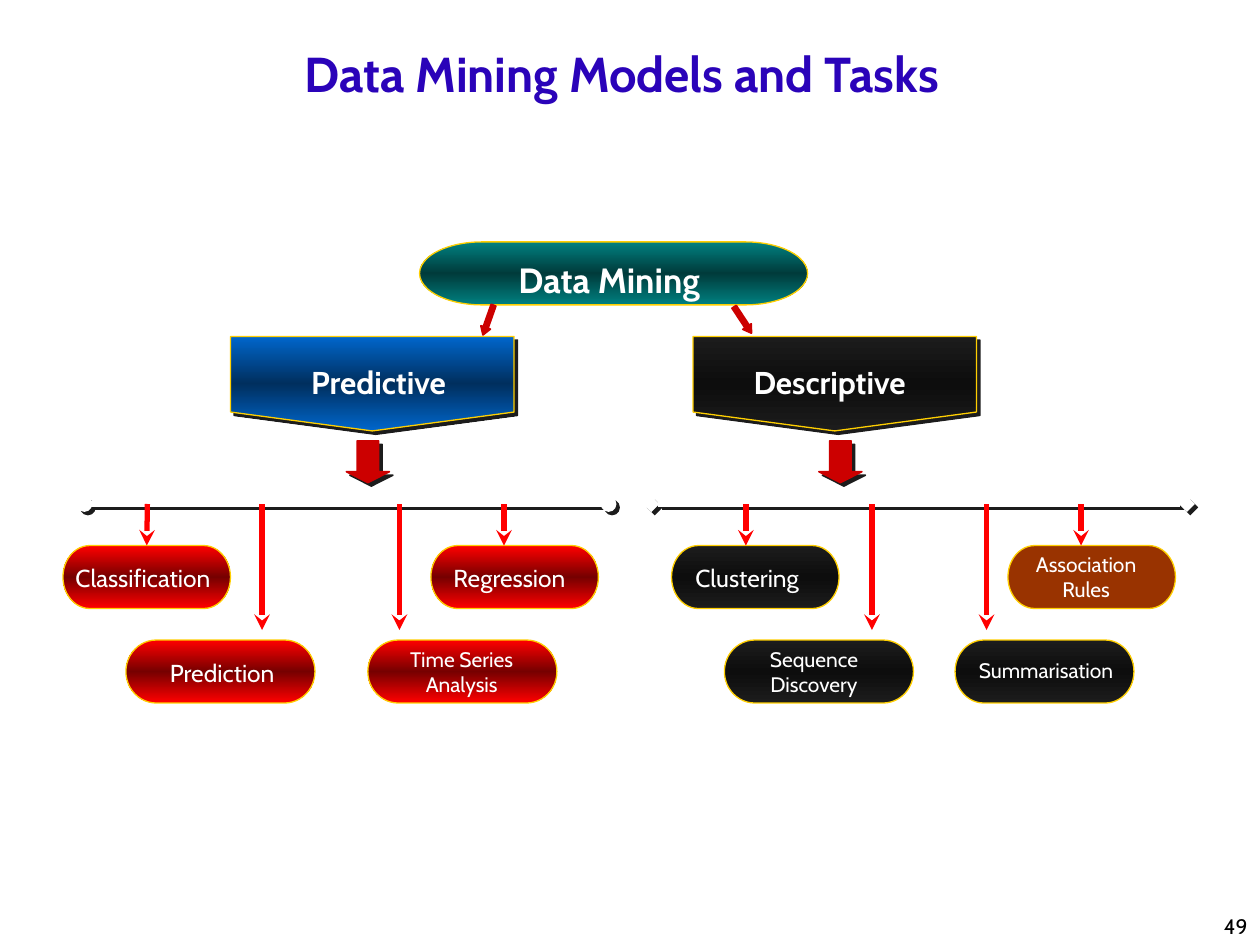
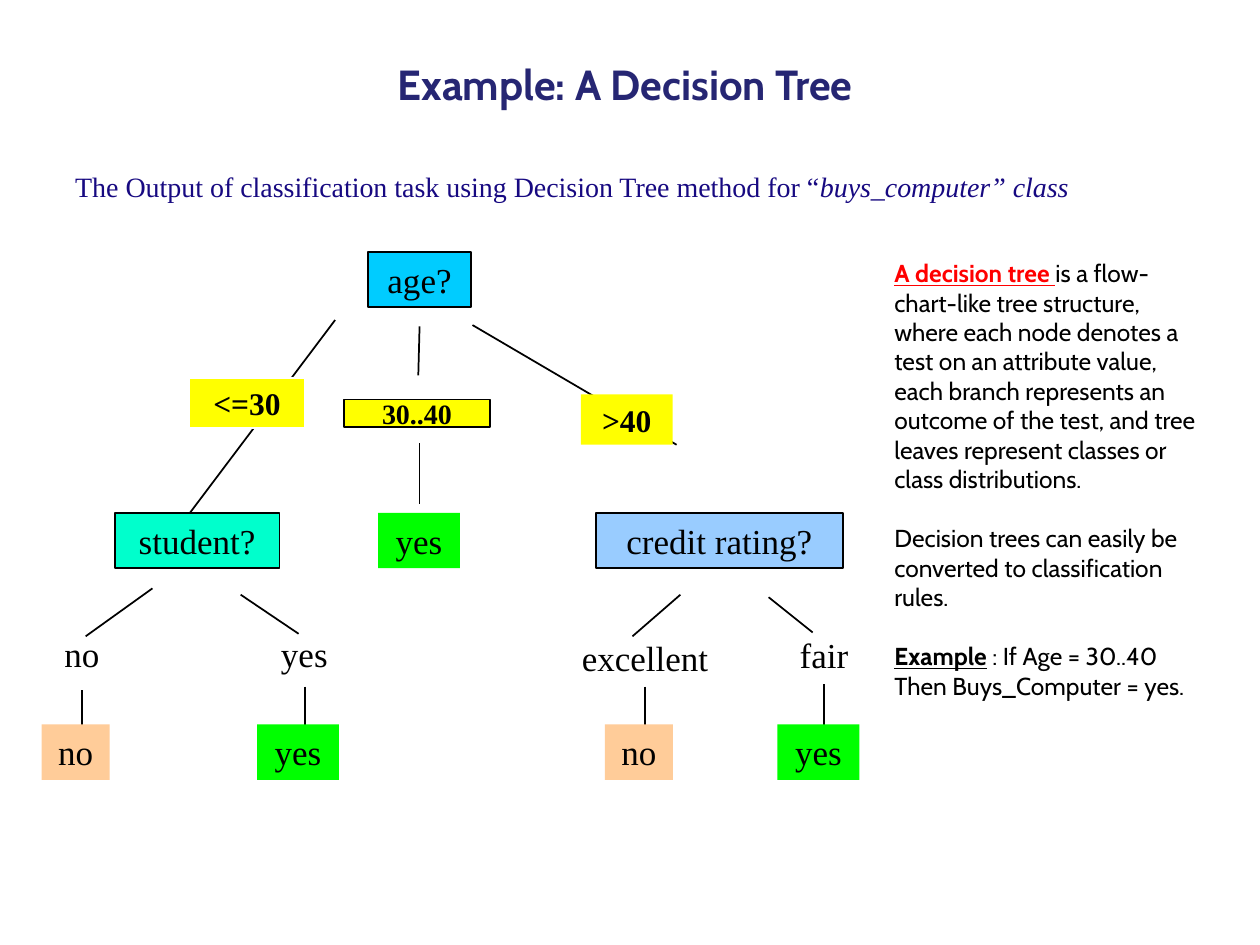
from copy import deepcopy

from pptx import Presentation
from pptx.dml.color import RGBColor
from pptx.enum import shapes, text
from pptx.oxml import ns
from pptx.util import Inches, Pt
from lxml import etree

WHITE = RGBColor(0xFF, 0xFF, 0xFF)
BLACK = RGBColor(0, 0, 0)
INDIGO = RGBColor(0x2A, 0x03, 0xB9)
NAVY = RGBColor(0x26, 0x26, 0x73)
DEEP_BLUE = RGBColor(0x17, 0x09, 0x81)
GOLD = RGBColor(0xFF, 0xCF, 0x01)
RED = RGBColor(0xFF, 0, 0)
CRIMSON = RGBColor(0xCC, 0, 0)
RUST = RGBColor(0x99, 0x33, 0)
YELLOW = RGBColor(0xFF, 0xFF, 0)
GREEN = RGBColor(0, 0xFF, 0)
PEACH = RGBColor(0xFF, 0xCC, 0x99)
SKY = RGBColor(0, 0xCC, 0xFF)
MINT = RGBColor(0, 0xFF, 0xCC)
PALE_BLUE = RGBColor(0x99, 0xCC, 0xFF)
TEAL_BLEND = [RGBColor(0, 0x80, 0x80), RGBColor(0, 0x3B, 0x3B)]
BLUE_BLEND = [RGBColor(0, 0x66, 0xCC), RGBColor(0, 0x2F, 0x5E)]
DARK_BLEND = [RGBColor(0x1C, 0x1C, 0x1C), RGBColor(0x0D, 0x0D, 0x0D)]
RED_BLEND = [RED, RGBColor(0x76, 0, 0)]

SANS, SERIF = "Cabin", "Times New Roman"
LEFT, CENTER, RIGHT = text.PP_ALIGN.LEFT, text.PP_ALIGN.CENTER, text.PP_ALIGN.RIGHT
TOP, MIDDLE, BOTTOM = text.MSO_ANCHOR.TOP, text.MSO_ANCHOR.MIDDLE, text.MSO_ANCHOR.BOTTOM
KIND = shapes.MSO_SHAPE


def add_box(page, at, paragraphs=(), kind=None, fill=None, outline=None, width=1,
            font=SANS, size=14, color=BLACK, bold=False, align=CENTER, anchor=TOP):
    place = [Inches(value) for value in at]
    if kind is None:
        box = page.shapes.add_textbox(*place)
    else:
        box = page.shapes.add_shape(kind, *place)
        box.shadow.inherit = False
        if isinstance(fill, list):
            edge, middle = fill
            box.fill.gradient()
            box.fill.gradient_angle = 90
            first = next(box._element.spPr.iter(ns.qn("a:gs")))
            first.addnext(deepcopy(first))
            for stop, position, shade in zip(box.fill.gradient_stops, (0, 0.5, 1), (edge, middle, edge)):
                stop.position = position
                stop.color.rgb = shade
        else:
            box.fill.solid()
            box.fill.fore_color.rgb = fill
        if outline is None:
            box.line.fill.background()
        else:
            box.line.color.rgb = outline
            box.line.width = Pt(width)
    frame = box.text_frame
    frame.word_wrap = True
    frame.vertical_anchor = anchor
    if isinstance(paragraphs, str):
        paragraphs = [[(paragraphs, {})]]
    for index, spans in enumerate(paragraphs):
        para = frame.add_paragraph() if index else frame.paragraphs[0]
        para.alignment = align
        for words, style in spans:
            span = para.add_run()
            span.text = words
            span.font.name = font
            span.font.size = Pt(size)
            span.font.bold = style.get("bold", bold)
            span.font.italic = style.get("italic", False)
            span.font.underline = style.get("underline", False)
            span.font.color.rgb = style.get("color", color)
    return box


def add_line(page, start, end, color=BLACK, width=1, head=None, tail=None):
    points = [Inches(value) for value in (*start, *end)]
    line = page.shapes.add_connector(shapes.MSO_CONNECTOR.STRAIGHT, *points)
    line.line.color.rgb = color
    line.line.width = Pt(width)
    properties = line._element.spPr
    outline = properties.find(ns.qn("a:ln"))
    for tag, tip in (("a:headEnd", head), ("a:tailEnd", tail)):
        if tip:
            etree.SubElement(outline, ns.qn(tag), type=tip)
    etree.SubElement(properties, ns.qn("a:effectLst"))
    return line


deck = Presentation()
deck.slide_width, deck.slide_height = Inches(10), Inches(7.5)
blank = deck.slide_layouts[6]

models = deck.slides.add_slide(blank)
add_box(models, (0.35, 0.21, 9.17, 0.65), "Data Mining Models and Tasks",
        size=28, color=INDIGO, bold=True, anchor=BOTTOM)
add_box(models, (3.33, 1.92, 3.08, 0.5), kind=KIND.FLOWCHART_TERMINATOR,
        fill=TEAL_BLEND, outline=GOLD, width=0.75)
add_box(models, (3.67, 2, 2.33, 0.44), "Data Mining", size=20, color=WHITE, bold=True)

shadowed = []
for name, left, label_left, blend, arrow_left, rail, tip in (
    ("Predictive", 1.83, 2.17, BLUE_BLEND, 2.75, (0.67, 4.83), "oval"),
    ("Descriptive", 5.5, 5.75, DARK_BLEND, 6.5, (5.17, 9.42), "diamond"),
):
    shadowed.append(add_box(models, (left, 2.67, 2.25, 0.75), kind=KIND.FLOWCHART_OFFPAGE_CONNECTOR,
                            fill=blend, outline=GOLD, width=0.75))
    add_box(models, (label_left, 2.83, 1.67, 0.4), name, size=18, color=WHITE, bold=True)
    shadowed.append(add_line(models, (rail[0], 4), (rail[1], 4), WHITE, 3, tip, tip))
    down = add_box(models, (arrow_left, 3.5, 0.34, 0.33), kind=KIND.DOWN_ARROW,
                   fill=CRIMSON, outline=CRIMSON)
    down.adjustments[1] = 0.26
    shadowed.append(down)

for item in shadowed:
    effects = item._element.spPr.find(ns.qn("a:effectLst"))
    shadow = etree.SubElement(effects, ns.qn("a:outerShdw"), blurRad="0", dist=str(Pt(2.8)),
                              dir="2700000", algn="ctr", rotWithShape="0")
    etree.SubElement(shadow, ns.qn("a:srgbClr"), val=str(DARK_BLEND[0]))

for left, angle in ((5.77, 56.7), (3.75, 109.6)):
    arrow = add_box(models, (left, 2.5, 0.25, 0.08), kind=KIND.RIGHT_ARROW,
                    fill=CRIMSON, outline=CRIMSON)
    arrow.adjustments[1] = 0.78
    arrow.rotation = angle

UPPER, LOWER = 4.33, 5.08
tasks = (
    ("Classification", 0.5, UPPER, 1.33, RED_BLEND, (0.5, 4.42, 1.42, 0.33), 14, LEFT, 1.17),
    ("Prediction", 1, LOWER, 1.5, RED_BLEND, (1.25, 5.17, 1.17, 0.33), 14, LEFT, 2.08),
    ("Time Series Analysis", 2.92, LOWER, 1.5, RED_BLEND, (3.08, 5.08, 1.17, 0.5), 12, CENTER, 3.17),
    ("Regression", 3.42, UPPER, 1.33, RED_BLEND, (3.5, 4.42, 1.25, 0.33), 14, LEFT, 4),
    ("Clustering", 5.33, UPPER, 1.33, DARK_BLEND, (5.42, 4.42, 1.17, 0.33), 14, LEFT, 5.92),
    ("Sequence Discovery", 5.75, LOWER, 1.5, DARK_BLEND, (5.92, 5.08, 1.08, 0.5), 12, CENTER, 6.92),
    ("Summarisation", 7.58, LOWER, 1.42, DARK_BLEND, (7.67, 5.17, 1.33, 0.3), 12, LEFT, 7.83),
    ("Association Rules", 8, UPPER, 1.33, RUST, (8.08, 4.33, 1.08, 0.5), 12, CENTER, 8.58),
)
for name, left, top, width, fill, label_at, size, align, arrow_x in tasks:
    pill = add_box(models, (left, top, width, 0.5), kind=KIND.FLOWCHART_TERMINATOR,
                   fill=fill, outline=GOLD, width=0.75)
    add_box(models, label_at, name, size=size, color=WHITE, align=align)
    arrow_end = UPPER if top == UPPER else 5
    arrow = add_line(models, (arrow_x, 4), (arrow_x, arrow_end), RED, 3, tail="stealth")
    if top == UPPER and abs(arrow_x - left - width / 2) < 0.01:
        arrow.end_connect(pill, 0)
add_box(models, (7.92, 7, 2.08, 0.5), "49", size=12, align=RIGHT, anchor=BOTTOM)

tree = deck.slides.add_slide(blank)
add_box(tree, (0.5, 0.35, 8.92, 0.62), "Example: A Decision Tree",
        size=24, color=NAVY, bold=True, anchor=MIDDLE)
add_box(tree, (0, 1.33, 9.08, 0.33),
        [[("The Output of classification task using Decision Tree method for “", {}),
          ("buys_computer” class", {"italic": True})]],
        font=SERIF, size=16, color=DEEP_BLUE, anchor=BOTTOM)

branches = (
    ((2.66, 2.54), (1.5, 4.08)), ((3.33, 2.59), (3.32, 2.98)), ((3.75, 2.58), (5.37, 3.53)),
    ((1.21, 4.67), (0.68, 5.05)), ((1.91, 4.72), (2.37, 5.03)),
    ((5.4, 4.72), (5.02, 5.05)), ((6.1, 4.74), (6.45, 5.02)),
    ((0.65, 5.48), (0.65, 5.8)), ((6.54, 5.43), (6.54, 5.75)),
    ((5.12, 5.45), (5.12, 5.77)), ((2.42, 5.45), (2.42, 5.77)), ((3.33, 3.52), (3.33, 4)),
)
for start, end in branches:
    add_line(tree, start, end)

nodes = (
    ("age?", 2.92, 2, 0.82, SKY, BLACK),
    ("student?", 0.91, 4.07, 1.31, MINT, BLACK),
    ("credit rating?", 4.73, 4.07, 1.96, PALE_BLUE, BLACK),
    ("yes", 3, 4.07, 0.65, GREEN, None),
    ("no", 0.33, 5.75, 0.54, PEACH, None),
    ("yes", 2.04, 5.75, 0.65, GREEN, None),
    ("no", 4.8, 5.75, 0.54, PEACH, None),
    ("yes", 6.17, 5.75, 0.65, GREEN, None),
)
for name, left, top, width, fill, outline in nodes:
    add_box(tree, (left, top, width, 0.44), name, kind=KIND.RECTANGLE, fill=fill,
            outline=outline, font=SERIF, size=20)

for name, left, top, width in (
    ("no", 0.38, 4.97, 0.54), ("yes", 2.09, 4.97, 0.65),
    ("excellent", 4.42, 5, 1.4), ("fair", 6.21, 4.98, 0.66),
):
    add_box(tree, (left, top, width, 0.44), name, font=SERIF, size=20)

for name, at, outline, size, anchor in (
    ("<=30", (1.5, 3, 0.92, 0.4), WHITE, 18, TOP),
    ("30..40", (2.73, 3.17, 1.16, 0.22), BLACK, 16, MIDDLE),
    (">40", (4.61, 3.13, 0.73, 0.4), None, 18, TOP),
):
    add_box(tree, at, name, kind=KIND.RECTANGLE, fill=YELLOW, outline=outline,
            font=SERIF, size=size, bold=True, anchor=anchor)

notion = add_box(tree, (7, 2, 2.67, 3.64), [
    [("A decision tree ", {"bold": True, "underline": True, "color": RED}),
     ("is a flow-chart-like tree structure, where each node denotes a test on an attribute value, "
      "each branch represents an outcome of the test, and tree leaves represent classes or "
      "class distributions.", {})],
    [("Decision trees can easily be", {})],
    [("converted to classification rules.", {})],
    [("Example", {"bold": True, "underline": True}),
     (" : If Age = 30..40 Then Buys_Computer = yes.", {})],
], align=LEFT)
for index in (1, 3):
    notion.text_frame.paragraphs[index].space_before = Pt(17)

deck.save("out.pptx")
